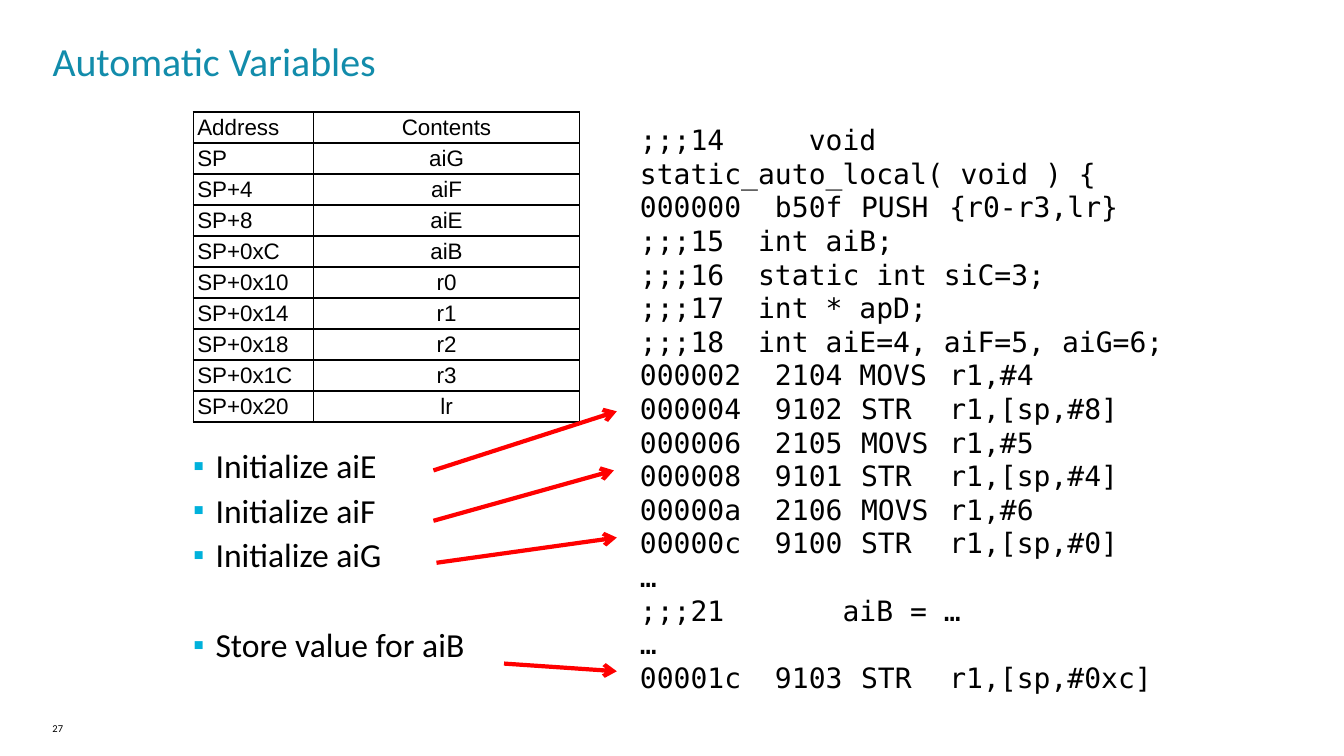
from lxml import etree
from pptx import Presentation
from pptx import util as u
from pptx.dml.color import RGBColor
from pptx.enum import shapes, text
from pptx.oxml import ns

COLORS = {"title": "128CAB", "bullet": "00B1DB", "text": "000000", "arrow": "FF0000"}
SANS, TABLE_FONT, MONO = "Calibri", "Arial", "DejaVu Sans Mono"

STACK = [("Address", "Contents"), ("SP", "aiG"), ("SP+4", "aiF"), ("SP+8", "aiE"),
         ("SP+0xC", "aiB"), ("SP+0x10", "r0"), ("SP+0x14", "r1"),
         ("SP+0x18", "r2"), ("SP+0x1C", "r3"), ("SP+0x20", "lr")]
STEPS = ["Initialize aiE", "Initialize aiF", "Initialize aiG", "Store value for aiB"]
CODE = [";;;14     void static_auto_local( void ) {",
        "000000  b50f\tPUSH\t{r0-r3,lr}",
        ";;;15  int aiB;",
        ";;;16  static int siC=3;",
        ";;;17  int * apD;",
        ";;;18  int aiE=4, aiF=5, aiG=6;",
        "000002  2104 MOVS\tr1,#4",
        "000004  9102\tSTR\tr1,[sp,#8]",
        "000006  2105\tMOVS\tr1,#5",
        "000008  9101\tSTR\tr1,[sp,#4]",
        "00000a  2106\tMOVS\tr1,#6",
        "00000c  9100 \tSTR\tr1,[sp,#0]",
        "…",
        ";;;21       aiB = …",
        "…",
        "00001c  9103\tSTR\tr1,[sp,#0xc]"]
ARROWS = [(309.6, 336, 440.6, 293.8), (309.6, 372, 438.5, 336),
          (311.8, 402, 440.6, 384), (360, 474, 440.6, 479.5)]


def add_xml(parent, tag, **attrs):
    """Append a DrawingML child element and return it."""
    return etree.SubElement(parent, ns.qn(tag), attrs)


def style(p, font, size, color="text"):
    """Format every run of a paragraph."""
    for r in p.runs:
        r.font.name, r.font.size = font, u.Pt(size)
        r.font.color.rgb = RGBColor.from_string(COLORS[color])


def place(sp, x, y, w, h):
    """Set the position and size of a shape."""
    sp.left, sp.top, sp.width, sp.height = map(u.Pt, (x, y, w, h))


def set_frame(tf, margins=(0, 0, 0, 0)):
    """Set top anchoring, wrapping and margins of a text frame."""
    tf.word_wrap, tf.auto_size = True, text.MSO_AUTO_SIZE.NONE
    tf.vertical_anchor = text.MSO_ANCHOR.TOP
    tf.margin_left, tf.margin_top, tf.margin_right, tf.margin_bottom = map(u.Pt, margins)


def fill_title(sp, title):
    """Write the slide title."""
    place(sp, 37.5, 26.5, 879, 45.5)
    set_frame(sp.text_frame)
    sp.text_frame.text = title
    p = sp.text_frame.paragraphs[0]
    p.alignment = text.PP_ALIGN.LEFT
    style(p, SANS, 28.5, "title")


def fill_steps(sp, steps):
    """Write the bulleted steps, with a one-line gap before the last."""
    place(sp, 138, 318, 312, 210)
    tf = sp.text_frame
    set_frame(tf)
    tf.text = "\n".join(steps)
    for p in tf.paragraphs:
        p.space_before = u.Pt(3)
        style(p, SANS, 24)
        pPr = p._p.get_or_add_pPr()
        pPr.set("marL", str(u.Pt(16)))
        pPr.set("indent", str(-u.Pt(16)))
        add_xml(add_xml(pPr, "a:buClr"), "a:srgbClr", val=COLORS["bullet"])
        add_xml(pPr, "a:buSzPct", val="95000")
        add_xml(pPr, "a:buFont", typeface=TABLE_FONT)
        add_xml(pPr, "a:buChar", char="▪")
    tf.paragraphs[-1].space_before = u.Pt(35.3)


def add_text(s, box, lines, font, size, margins, tabs=(), spacing=None):
    """Add a text box with one paragraph per line."""
    tf = s.shapes.add_textbox(*map(u.Pt, box)).text_frame
    set_frame(tf, margins)
    tf.text = "\n".join(lines)
    for p in tf.paragraphs:
        style(p, font, size)
        if spacing:
            p.line_spacing = u.Pt(spacing)
        if tabs:
            stops = add_xml(p._p.get_or_add_pPr(), "a:tabLst")
            for pos in tabs:
                add_xml(stops, "a:tab", pos=str(u.Pt(pos)), algn="l")
    return tf


def format_cell(cell, value, align):
    """Write one table cell with black borders and no fill."""
    cell.text = value
    cell.margin_left = cell.margin_right = u.Pt(3)
    cell.margin_top = cell.margin_bottom = 0
    p = cell.text_frame.paragraphs[0]
    p.alignment, p.line_spacing = align, 1.15
    style(p, TABLE_FONT, 16)
    tcPr = cell._tc.get_or_add_tcPr()
    for side in "LRTB":
        ln = add_xml(tcPr, f"a:ln{side}", w=str(u.Pt(1)))
        add_xml(add_xml(ln, "a:solidFill"), "a:srgbClr", val=COLORS["text"])
    cell.fill.background()


def add_stack_table(s, rows, x, y, widths, row_height):
    """Add the table of stack addresses and contents."""
    size = (sum(widths), row_height * len(rows))
    table = s.shapes.add_table(len(rows), len(widths),
                               *map(u.Pt, (x, y, *size))).table
    table.first_row = table.horz_banding = False
    for column, width in zip(table.columns, widths):
        column.width = u.Pt(width)
    aligns = (text.PP_ALIGN.LEFT, text.PP_ALIGN.CENTER)
    for i, values in enumerate(rows):
        table.rows[i].height = u.Pt(row_height)
        for j, value in enumerate(values):
            format_cell(table.cell(i, j), value, aligns[j])


def add_arrow(s, points):
    """Add a red arrow from a step to its instruction."""
    sp = s.shapes.add_connector(shapes.MSO_CONNECTOR.STRAIGHT, *map(u.Pt, points))
    sp.line.width = u.Pt(3)
    sp.line.color.rgb = RGBColor.from_string(COLORS["arrow"])
    add_xml(sp.line._get_or_add_ln(), "a:tailEnd", type="arrow")
    add_xml(sp._element.spPr, "a:effectLst")


def main():
    """Build and save the slide."""
    prs = Presentation()
    prs.slide_width, prs.slide_height = u.Pt(960), u.Pt(540)
    s = prs.slides.add_slide(prs.slide_layouts[1])
    fill_title(s.shapes.title, "Automatic Variables")
    fill_steps(s.placeholders[1], STEPS)
    add_text(s, (37.5, 516, 103, 19), ["27"], SANS, 7.5, (0, 0, 7.2, 0))
    code = add_text(s, (450, 84, 392.4, 419), CODE, MONO, 20,
                    (7.2, 3.6, 7.2, 3.6), tabs=(158, 221), spacing=24)
    code.auto_size = text.MSO_AUTO_SIZE.SHAPE_TO_FIT_TEXT
    add_stack_table(s, STACK, 138, 80, (86, 190), 22.14)
    for points in ARROWS:
        add_arrow(s, points)
    prs.save("out.pptx")


main()
